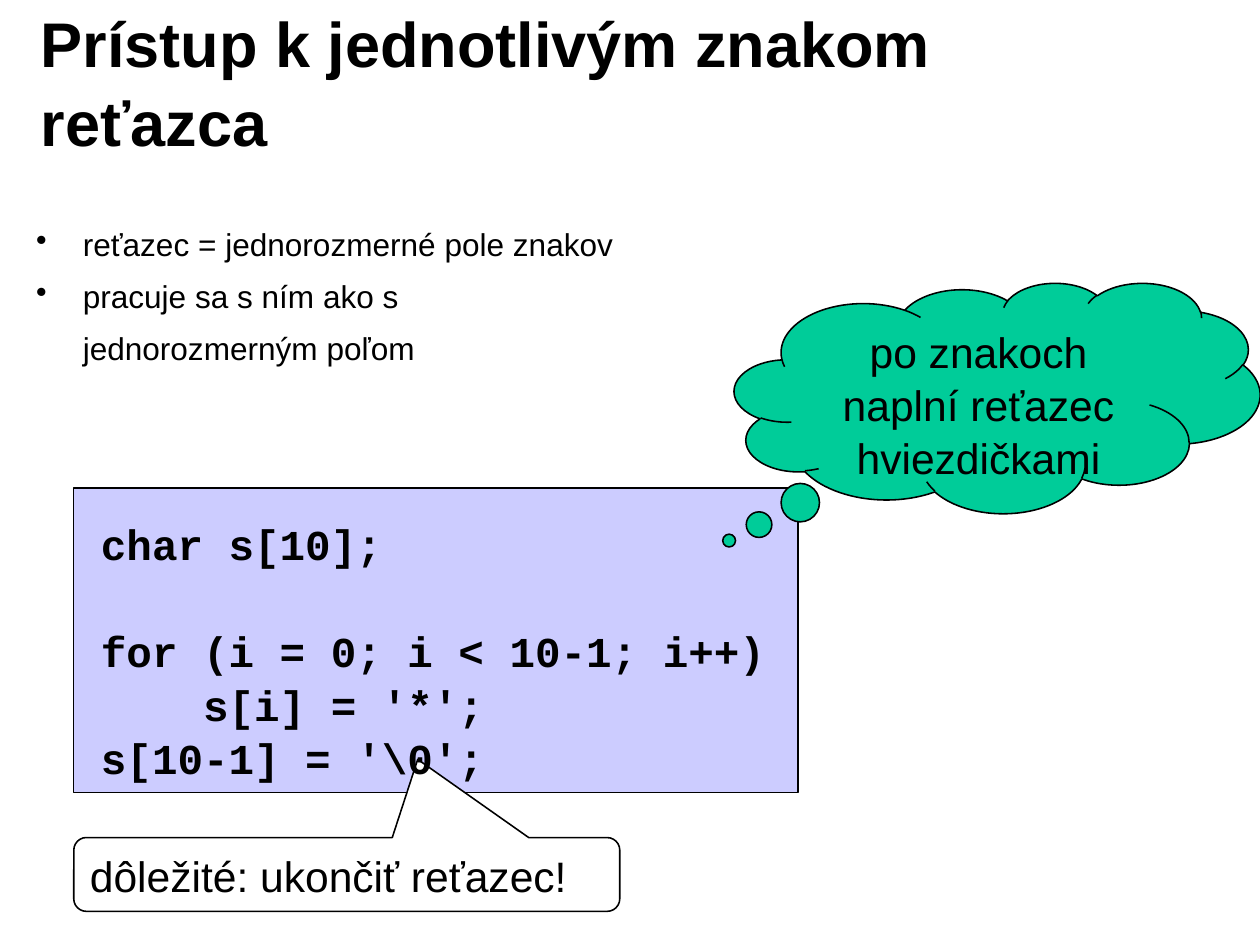
"""Build the slide about reaching single characters of a string."""
from lxml import etree
from pptx import Presentation
from pptx import util as u
from pptx.dml.color import RGBColor
from pptx.enum import shapes, text
from pptx.oxml.ns import qn

Inches, Pt = u.Inches, u.Pt


def colour(value):
    """Turn a hex string into a colour."""
    return RGBColor.from_string(value)


def write(shape, lines, size, font="Arial", bold=False, spacing=1.04,
          align=text.PP_ALIGN.LEFT, anchor=text.MSO_ANCHOR.TOP, wrap=True):
    """Fill a shape with evenly formatted paragraphs and return them."""
    frame = shape.text_frame
    frame.text = "\n".join(lines)
    frame.auto_size = text.MSO_AUTO_SIZE.NONE
    frame.word_wrap = wrap
    frame.vertical_anchor = anchor
    frame.margin_left = frame.margin_right = Inches(0.11)
    frame.margin_top = frame.margin_bottom = Inches(0.06)
    for paragraph in frame.paragraphs:
        paragraph.alignment = align
        paragraph.line_spacing = spacing
        paragraph.font.name = font
        paragraph.font.size = Pt(size)
        paragraph.font.bold = bold
        paragraph.font.color.rgb = colour("000000")
    return frame.paragraphs


deck = Presentation()
deck.slide_width, deck.slide_height = Inches(11.1), Inches(8.3)
slide = deck.slides.add_slide(deck.slide_layouts[5])

title = slide.shapes.title
title.left, title.top = Inches(0.25), Inches(0.2)
title.width, title.height = Inches(8.91), Inches(1.02)
write(title, ["Prístup k jednotlivým znakom reťazca"], 40, bold=True,
      anchor=text.MSO_ANCHOR.MIDDLE)

facts = slide.shapes.add_textbox(Inches(0.21), Inches(1.91), Inches(10.66), Inches(1.32))
facts_text = ["reťazec = jednorozmerné pole znakov", "pracuje sa s ním ako s",
              "jednorozmerným poľom"]
for index, fact in enumerate(write(facts, facts_text, 20)):
    properties = fact._p.get_or_add_pPr()
    properties.set("marL", str(Inches(0.41)))
    if index < 2:
        properties.set("indent", str(Inches(-0.41)))
        bullet = etree.Element(qn("a:buChar"), char="•")
        properties.find(qn("a:defRPr")).addprevious(bullet)
    if index:
        fact.space_before = Pt(8)

panel, thought, warning = [
    slide.shapes.add_shape(kind, *map(Inches, box))
    for kind, box in [
        (shapes.MSO_SHAPE.RECTANGLE, (0.65, 4.3, 6.38, 2.68)),
        (shapes.MSO_SHAPE.CLOUD_CALLOUT, (6.47, 2.49, 4.63, 2.03)),
        (shapes.MSO_SHAPE.ROUNDED_RECTANGULAR_CALLOUT, (0.65, 7.38, 4.81, 0.65)),
    ]
]
for shape, fill, width in [(panel, "CCCCFF", 0.75), (thought, "00CC99", 1),
                           (warning, "FFFFFF", 1)]:
    shape.shadow.inherit = False
    shape.fill.solid()
    shape.fill.fore_color.rgb = colour(fill)
    shape.line.color.rgb = colour("000000")
    shape.line.width = Pt(width)
for callout, pointer in [(thought, (-0.51, 0.62)), (warning, (0.13, -1.56, 0.17))]:
    for index, value in enumerate(pointer):
        callout.adjustments[index] = value

code = slide.shapes.add_textbox(Inches(0.78), Inches(4.48), Inches(6.07), Inches(2.36))
code_lines = ["char s[10];", "", "for (i = 0; i < 10-1; i++)", "    s[i] = '*';",
              "s[10-1] = '\\0';"]
write(code, code_lines, 27, font="Courier New", bold=True, spacing=1.05, wrap=False)

write(thought, ["po znakoch naplní reťazec hviezdičkami"], 27, align=text.PP_ALIGN.CENTER)
write(warning, ["dôležité: ukončiť reťazec!"], 27, anchor=text.MSO_ANCHOR.MIDDLE)

deck.save("out.pptx")
